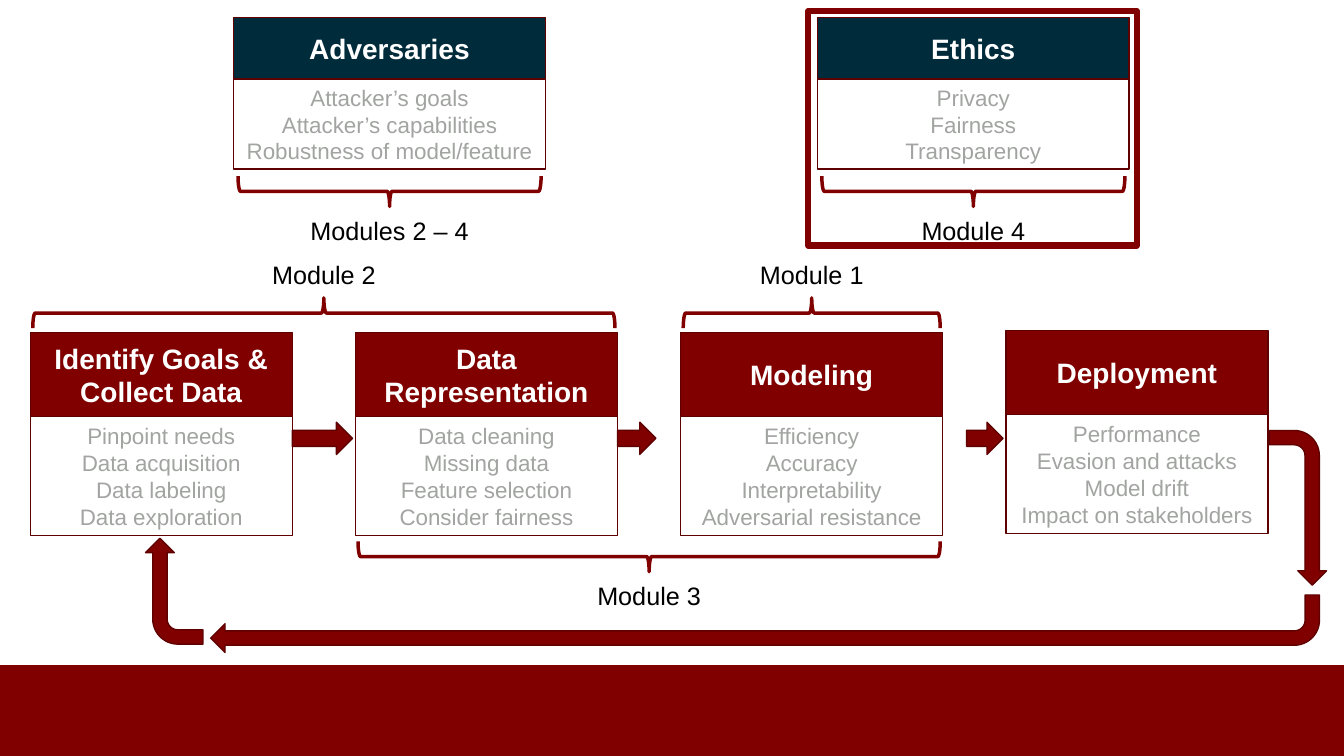
from pptx import Presentation
from pptx.dml.color import RGBColor
from pptx.enum.shapes import MSO_SHAPE
from pptx.enum.text import MSO_ANCHOR, MSO_AUTO_SIZE, PP_ALIGN
from pptx.util import Pt

RECTANGLE = MSO_SHAPE.RECTANGLE
RIGHT_ARROW = MSO_SHAPE.RIGHT_ARROW
BENT_ARROW = MSO_SHAPE.BENT_ARROW
RIGHT_BRACE = MSO_SHAPE.RIGHT_BRACE
MIDDLE = MSO_ANCHOR.MIDDLE
CENTER = PP_ALIGN.CENTER
FIT_SHAPE = MSO_AUTO_SIZE.SHAPE_TO_FIT_TEXT

FONT = "Arial"
MAROON, DARK_MAROON, NAVY = "800000", "5F0000", "002B3B"
WHITE, GREY, BLACK = "FFFFFF", "A1A4A1", "000000"

SLIDE_WIDTH, SLIDE_HEIGHT = 960, 540
BRACE_DEPTH = 21.6
STAGE_LEFT, STAGE_TOP, STAGE_WIDTH, STAGE_PITCH = 21.6, 237.6, 187.2, 232.3
STAGE_HEADER, STAGE_BODY = 60, 84.8
TOPIC_TOP, TOPIC_WIDTH, TOPIC_HEADER, TOPIC_BODY = 12.5, 222.5, 44, 64.4

# title, body lines, shift from the common top
STAGES = [
    ("Identify Goals & Collect Data",
     ["Pinpoint needs", "Data acquisition", "Data labeling", "Data exploration"], 0),
    ("Data Representation",
     ["Data cleaning", "Missing data", "Feature selection", "Consider fairness"], 0),
    ("Modeling",
     ["Efficiency", "Accuracy", "Interpretability", "Adversarial resistance"], 0),
    ("Deployment",
     ["Performance", "Evasion and attacks", "Model drift", "Impact on stakeholders"], -1.4),
]

# left, title, body lines, module label, label width
TOPICS = [
    (167, "Adversaries",
     ["Attacker’s goals", "Attacker’s capabilities", "Robustness of model/feature"],
     "Modules 2 – 4", 129),
    (584, "Ethics", ["Privacy", "Fairness", "Transparency"], "Module 4", 90),
]


def color(value):
    return RGBColor.from_string(value)


def add_box(slide, kind, left, top, width, height, fill=None, line=None,
            weight=1, rotation=0):
    """Place a shape so that its box after a turn is the one given."""
    if rotation in (90, 270):
        left, top = left + (width - height) / 2, top + (height - width) / 2
        width, height = height, width
    shape = slide.shapes.add_shape(kind, Pt(left), Pt(top), Pt(width), Pt(height))
    shape.shadow.inherit = False
    shape.rotation = rotation
    if fill:
        shape.fill.solid()
        shape.fill.fore_color.rgb = color(fill)
    else:
        shape.fill.background()
    if line:
        shape.line.color.rgb = color(line)
        shape.line.width = Pt(weight)
    else:
        shape.line.fill.background()
    return shape


def write_lines(shape, lines, size, text_color, bold=False):
    frame = shape.text_frame
    frame.vertical_anchor = MIDDLE
    frame.text = "\n".join(lines)
    for paragraph in frame.paragraphs:
        paragraph.alignment = CENTER
        paragraph.font.name = FONT
        paragraph.font.size = Pt(size)
        paragraph.font.bold = bold
        paragraph.font.color.rgb = color(text_color)


def add_card(slide, left, top, width, header_height, body_height, title, lines, fill):
    header = add_box(slide, RECTANGLE, left, top, width, header_height, fill, DARK_MAROON)
    write_lines(header, [title], 20, WHITE, bold=True)
    body = add_box(slide, RECTANGLE, left, top + header_height, width, body_height,
                   WHITE, DARK_MAROON)
    write_lines(body, lines, 16, GREY)


def add_module(slide, left, top, width, label, label_width=90, above=False):
    """Brace over the given width, with its label at the tip."""
    add_box(slide, RIGHT_BRACE, left, top, width, BRACE_DEPTH, line=MAROON,
            weight=2.5, rotation=270 if above else 90)
    label_top = top - 31.4 if above else top + 24
    box = slide.shapes.add_textbox(Pt(left + (width - label_width) / 2), Pt(label_top),
                                   Pt(label_width), Pt(29))
    write_lines(box, [label], 18, BLACK)
    box.text_frame.word_wrap = False
    box.text_frame.auto_size = FIT_SHAPE


def add_arrow(slide, kind, left, top, width, height, rotation=0):
    add_box(slide, kind, left, top, width, height, MAROON, DARK_MAROON, rotation=rotation)


def add_topics(slide):
    for left, title, lines, label, label_width in TOPICS:
        add_card(slide, left, TOPIC_TOP, TOPIC_WIDTH, TOPIC_HEADER, TOPIC_BODY,
                 title, lines, NAVY)
        bottom = TOPIC_TOP + TOPIC_HEADER + TOPIC_BODY
        add_module(slide, left + 3, bottom + 5, TOPIC_WIDTH - 6, label, label_width)


def add_stages(slide):
    lefts = [STAGE_LEFT + index * STAGE_PITCH for index in range(len(STAGES))]
    for left, (title, lines, shift) in zip(lefts, STAGES):
        add_card(slide, left, STAGE_TOP + shift, STAGE_WIDTH, STAGE_HEADER, STAGE_BODY,
                 title, lines, MAROON)

    # Arrows between stages
    for left, width in ((lefts[0] + STAGE_WIDTH, 43), (lefts[1] + STAGE_WIDTH, 27.4),
                        (lefts[3] - 28, 26)):
        add_arrow(slide, RIGHT_ARROW, left, STAGE_TOP + 64, width, 23)

    # Modules spanning one or two stages
    above_top = STAGE_TOP - 3.2 - BRACE_DEPTH
    below_top = STAGE_TOP + STAGE_HEADER + STAGE_BODY + 4.4
    one_stage = STAGE_WIDTH - 3.6
    two_stages = one_stage + STAGE_PITCH
    add_module(slide, lefts[0] + 1.8, above_top, two_stages, "Module 2", above=True)
    add_module(slide, lefts[2] + 1.8, above_top, one_stage, "Module 1", above=True)
    add_module(slide, lefts[1] + 1.8, below_top, two_stages, "Module 3")


def add_feedback_loop(slide):
    add_arrow(slide, BENT_ARROW, 906.5, 307.5, 41, 110.5, rotation=90)
    add_arrow(slide, BENT_ARROW, 150.5, 425, 792, 41, rotation=180)
    add_arrow(slide, BENT_ARROW, 104, 384.5, 41, 75.6, rotation=270)


def main():
    presentation = Presentation()
    presentation.slide_width = Pt(SLIDE_WIDTH)
    presentation.slide_height = Pt(SLIDE_HEIGHT)
    slide = presentation.slides.add_slide(presentation.slide_layouts[6])

    # Footer band
    add_box(slide, RECTANGLE, 0, 475, SLIDE_WIDTH, 65, MAROON)
    add_topics(slide)
    add_stages(slide)
    add_feedback_loop(slide)
    # Highlight around Ethics
    add_box(slide, RECTANGLE, 577.4, 7.9, 234.7, 167.5, line=MAROON, weight=4.5)

    presentation.save("out.pptx")


if __name__ == "__main__":
    main()
